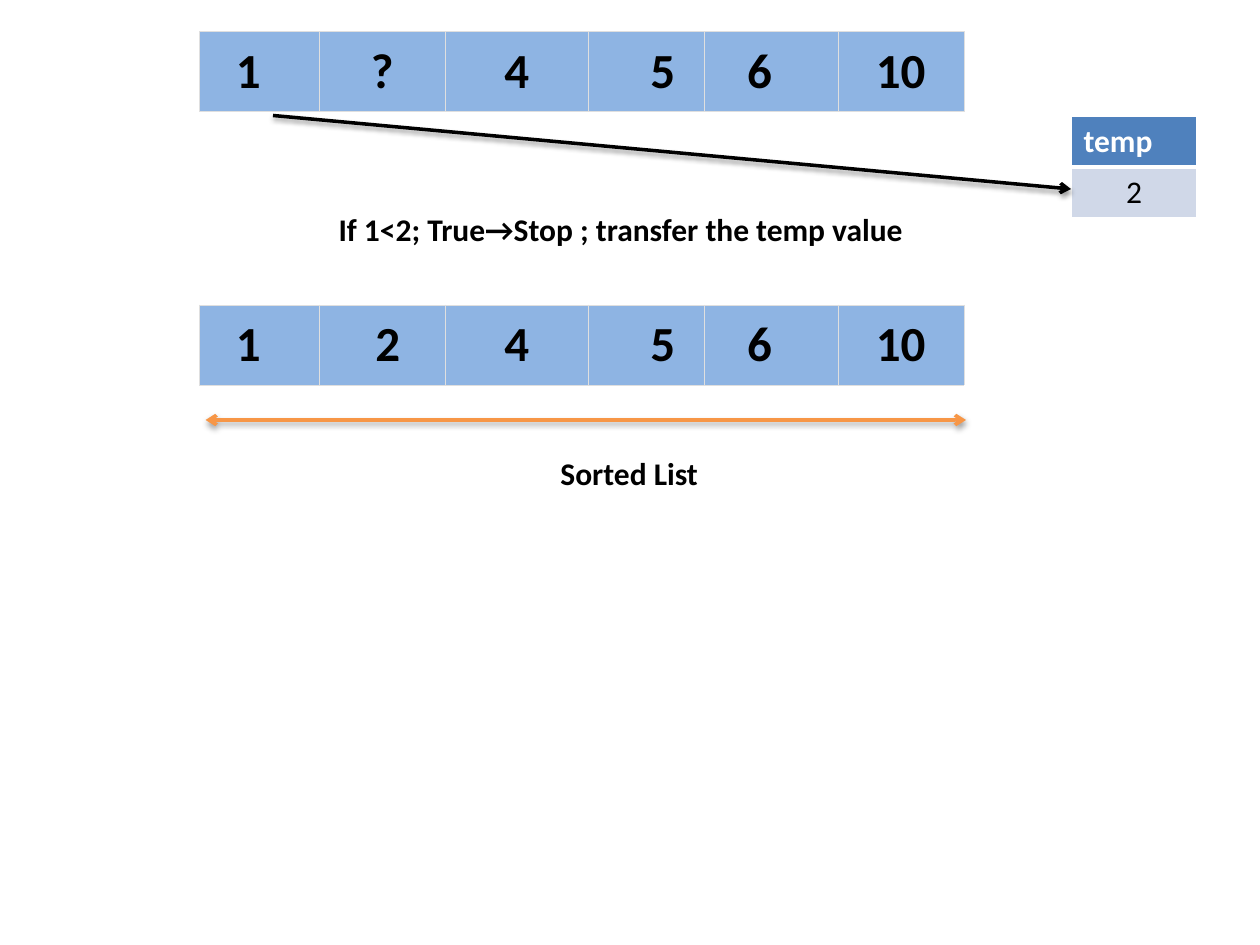
from lxml.etree import SubElement
from pptx import Presentation
from pptx.dml.color import RGBColor
from pptx.enum.shapes import MSO_CONNECTOR
from pptx.enum.text import MSO_ANCHOR, MSO_AUTO_SIZE, PP_ALIGN
from pptx.oxml import parse_xml
from pptx.oxml.ns import nsdecls, qn
from pptx.util import Pt

FONT = "Calibri"
COLORS = {
    "black": "000000", "white": "FFFFFF", "cell": "8EB4E3", "grid": "DFDFDF",
    "header": "4F81BD", "value": "D0D8E8", "orange": "F79646",
}

# Each list: top and the values it holds
LISTS = [
    (18, ["1", "?", "4", "5", "6", "10"]),
    (174.2, ["1", "2", "4", "5", "6", "10"]),
]
LIST_LEFT, LIST_HEIGHT = 114, 45.4
COLUMN_WIDTHS = [68.4, 72, 81.9, 65.9, 76.5, 72]
NUDGES = [-12.7, 0, 0, 19, -12.7, 0]  # extra margin: left if positive, right if negative
VALUE_NUDGES = {"2": 6.3}
CELL_MARGIN, FIRST_MARGIN = 5.76, 2.9

TEMP_BOX = (612, 66.3, 72, 58.4)
# text, left, top, width, height, wrap
CAPTIONS = [
    ("If 1<2; True→Stop ; transfer the temp value", 186.4, 116.5, 352, 29, False),
    ("Sorted List", 313.2, 255.7, 113, 29, True),
]
# start, end, color, arrow ends
ARROWS = [
    ((156, 66), (612, 108), "black", ["tailEnd"]),
    ((117.5, 240), (552, 240), "orange", ["headEnd", "tailEnd"]),
]


def color(name):
    return RGBColor.from_string(COLORS[name])


def write(frame, text, size=18, color_name="black", bold=True, align=PP_ALIGN.LEFT):
    paragraph = frame.paragraphs[0]
    paragraph.alignment = align
    run = paragraph.add_run()
    run.text = text
    run.font.name, run.font.size, run.font.bold = FONT, Pt(size), bold
    run.font.color.rgb = color(color_name)


def set_borders(cell, color_name, left=1, right=1, top=1, bottom=1):
    properties = cell._tc.get_or_add_tcPr()
    for index, (side, width) in enumerate(zip("LRTB", (left, right, top, bottom))):
        properties.insert(index, parse_xml(
            f'<a:ln{side} {nsdecls("a")} w="{Pt(width)}"><a:solidFill>'
            f'<a:srgbClr val="{COLORS[color_name]}"/></a:solidFill></a:ln{side}>'))


def fill_cell(cell, color_name):
    cell.fill.solid()
    cell.fill.fore_color.rgb = color(color_name)


def add_plain_table(slide, rows, columns, box):
    table = slide.shapes.add_table(rows, columns, *map(Pt, box)).table
    table.first_row = table.horz_banding = False
    return table


def add_list(slide, top, values):
    box = (LIST_LEFT, top, sum(COLUMN_WIDTHS), LIST_HEIGHT)
    table = add_plain_table(slide, 1, len(values), box)
    for index, (value, width, nudge) in enumerate(zip(values, COLUMN_WIDTHS, NUDGES)):
        table.columns[index].width = Pt(width)
        cell = table.cell(0, index)
        nudge = VALUE_NUDGES.get(value, nudge)
        side = CELL_MARGIN if index else FIRST_MARGIN
        cell.margin_left = Pt(side + max(nudge, 0))
        cell.margin_right = Pt(side + max(-nudge, 0))
        cell.margin_top = cell.margin_bottom = Pt(CELL_MARGIN)
        cell.vertical_anchor = MSO_ANCHOR.MIDDLE
        write(cell.text_frame, value, size=28, align=PP_ALIGN.CENTER)
        fill_cell(cell, "cell")
        set_borders(cell, "grid", 0.18, 0.18, 0.18, 0.18)


def add_temp(slide):
    table = add_plain_table(slide, 2, 1, TEMP_BOX)
    header, value = table.cell(0, 0), table.cell(1, 0)
    write(header.text_frame, "temp", color_name="white")
    write(value.text_frame, "2", bold=False, align=PP_ALIGN.CENTER)
    fill_cell(header, "header")
    fill_cell(value, "value")
    set_borders(header, "white", bottom=3)
    set_borders(value, "white", top=3)


def add_caption(slide, text, left, top, width, height, wrap):
    frame = slide.shapes.add_textbox(Pt(left), Pt(top), Pt(width), Pt(height)).text_frame
    frame.word_wrap = wrap
    frame.auto_size = MSO_AUTO_SIZE.SHAPE_TO_FIT_TEXT
    write(frame, text)


def add_arrow(slide, start, end, color_name, ends):
    arrow = slide.shapes.add_connector(MSO_CONNECTOR.STRAIGHT, *map(Pt, start + end))
    arrow.line.width = Pt(2)
    arrow.line.color.rgb = color(color_name)
    line = arrow.line._get_or_add_ln()
    for end_name in ends:
        SubElement(line, qn(f"a:{end_name}"), type="arrow")
    line.addnext(parse_xml(
        f'<a:effectLst {nsdecls("a")}><a:outerShdw blurRad="{Pt(3.1)}" dist="{Pt(1.6)}" '
        f'dir="5400000" rotWithShape="0"><a:srgbClr val="{COLORS["black"]}">'
        '<a:alpha val="38000"/></a:srgbClr></a:outerShdw></a:effectLst>'))


def main():
    presentation = Presentation()
    presentation.slide_width, presentation.slide_height = Pt(720), Pt(540)
    slide = presentation.slides.add_slide(presentation.slide_layouts[6])
    for top, values in LISTS:
        add_list(slide, top, values)
    add_temp(slide)
    for arrow in ARROWS:
        add_arrow(slide, *arrow)
    for caption in CAPTIONS:
        add_caption(slide, *caption)
    presentation.save("out.pptx")


if __name__ == "__main__":
    main()
